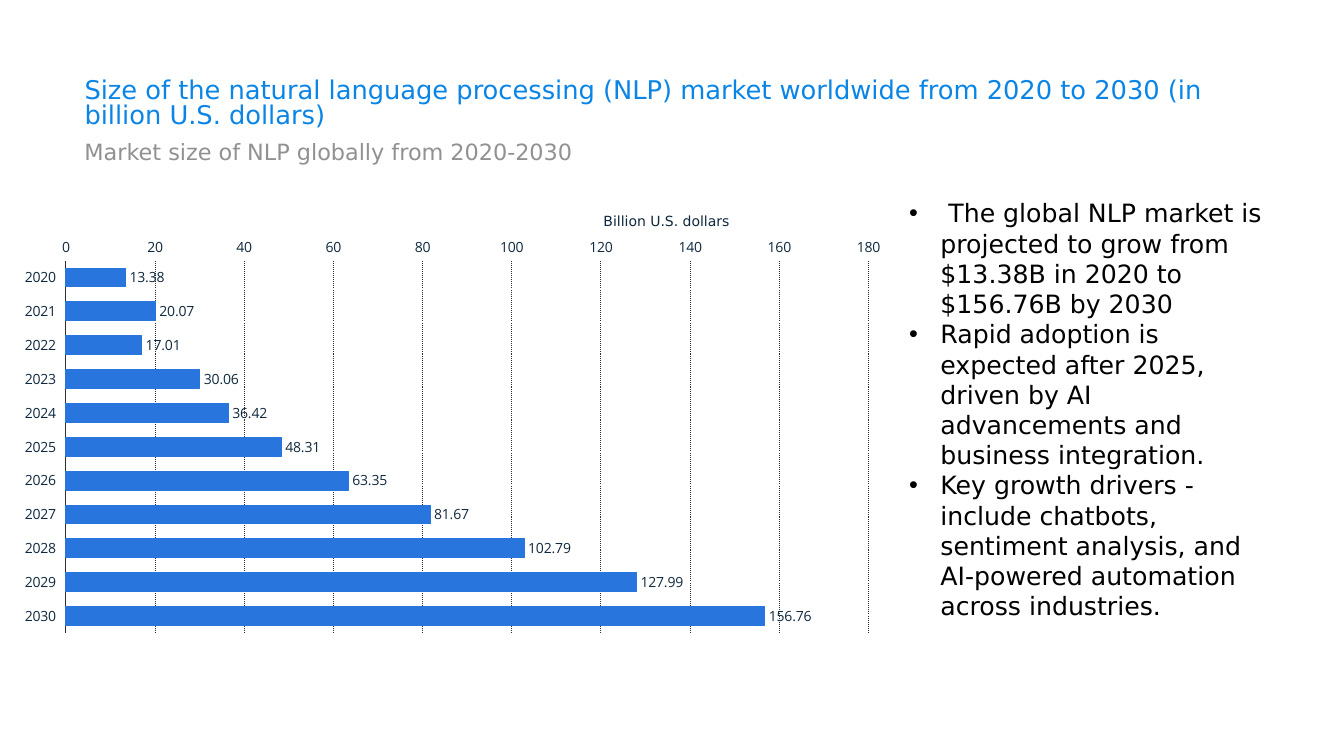
from dataclasses import dataclass

from lxml import etree
from pptx import Presentation
from pptx.chart.data import CategoryChartData
from pptx.dml.color import RGBColor
from pptx.enum.chart import XL_CHART_TYPE, XL_LABEL_POSITION, XL_TICK_LABEL_POSITION, XL_TICK_MARK
from pptx.enum.dml import MSO_LINE
from pptx.enum.text import MSO_ANCHOR, MSO_AUTO_SIZE, PP_ALIGN
from pptx.oxml.ns import qn
from pptx.util import Cm, Pt

BAR = XL_CHART_TYPE.BAR_CLUSTERED
OUT = XL_LABEL_POSITION.OUTSIDE_END
LOW = XL_TICK_LABEL_POSITION.LOW
NO_TICK = XL_TICK_MARK.NONE
DOT = MSO_LINE.ROUND_DOT
TOP, BOTTOM = MSO_ANCHOR.TOP, MSO_ANCHOR.BOTTOM
FIXED = MSO_AUTO_SIZE.NONE
LEFT, CENTER = PP_ALIGN.LEFT, PP_ALIGN.CENTER


@dataclass(frozen=True)
class Theme:
    face: str = "DejaVu Sans"
    plot: str = "Open Sans"
    mark: str = "Arial"
    blue: str = "0A85E6"
    gray: str = "919191"
    black: str = "000000"
    navy: str = "0F283E"
    line: str = "2F2F2F"
    bar: str = "2875DD"
    head: float = 18.4
    sub: float = 16
    body: float = 18
    note: float = 10
    rule: float = 0.75


def apply(item, form):
    for name, value in form.items():
        setattr(item, name, value)


class Page:
    def __init__(self, deck, theme):
        self.theme = theme
        self.slide = deck.slides.add_slide(deck.slide_layouts[1])

    def font(self, font, face, size, color):
        apply(font, {"name": face, "size": Pt(size), "bold": False})
        font.color.rgb = RGBColor.from_string(color)

    def stroke(self, line, color):
        line.color.rgb = RGBColor.from_string(color)
        line.width = Pt(self.theme.rule)

    def fill(self, shape, box, lines, size, color, anchor=TOP, align=LEFT, lead=1.0):
        apply(shape, dict(zip(("left", "top", "width", "height"), map(Cm, box))))
        frame = shape.text_frame
        frame.text = "\n".join(lines)
        apply(frame, {"word_wrap": True, "auto_size": FIXED, "vertical_anchor": anchor,
                      "margin_left": Cm(0.25), "margin_right": Cm(0.25),
                      "margin_top": Cm(0.13), "margin_bottom": Cm(0.13)})
        for para in frame.paragraphs:
            apply(para, {"alignment": align, "line_spacing": lead,
                         "space_before": Pt(0), "space_after": Pt(0)})
            for run in para.runs:
                self.font(run.font, self.theme.face, size, color)
        return frame

    def title(self, text, box):
        self.fill(self.slide.shapes.title, box, [text], self.theme.head,
                  self.theme.blue, anchor=BOTTOM, lead=0.8)

    def text(self, text, box, size, color, **form):
        shape = self.slide.shapes.add_textbox(*map(Cm, box))
        self.fill(shape, box, [text], size, color, **form)

    def list(self, lines, box):
        frame = self.fill(self.slide.placeholders[1], box, lines,
                          self.theme.body, self.theme.black)
        for para in frame.paragraphs:
            props = para._p.get_or_add_pPr()
            props.set("marL", str(Cm(0.79)))
            props.set("indent", str(Cm(-0.79)))
            etree.SubElement(props, qn("a:buFont")).set("typeface", self.theme.mark)
            etree.SubElement(props, qn("a:buChar")).set("char", "•")

    def axis(self, axis, form):
        apply(axis, {"major_tick_mark": NO_TICK, "minor_tick_mark": NO_TICK, **form})
        self.font(axis.tick_labels.font, self.theme.plot, self.theme.note, self.theme.navy)

    def chart(self, name, values, box, inner):
        data = CategoryChartData()
        data.categories = list(values)
        data.add_series(name, list(values.values()))
        chart = self.slide.shapes.add_chart(BAR, *map(Cm, box), data).chart
        apply(chart, {"has_title": False, "has_legend": False})
        self.font(chart.font, self.theme.mark, self.theme.body, self.theme.black)

        years, scale = chart.category_axis, chart.value_axis
        self.axis(years, {"reverse_order": True, "tick_label_position": LOW,
                          "has_major_gridlines": False})
        self.stroke(years.format.line, self.theme.line)
        self.axis(scale, {"minimum_scale": 0, "maximum_scale": 180, "major_unit": 20,
                          "has_major_gridlines": True})
        apply(scale.tick_labels, {"number_format": "#,##0", "number_format_is_linked": False})
        scale.format.line.fill.background()
        grid = scale.major_gridlines.format.line
        self.stroke(grid, self.theme.line)
        grid.dash_style = DOT

        plot = chart.plots[0]
        apply(plot, {"gap_width": 80, "overlap": -30, "vary_by_categories": False,
                     "has_data_labels": True})
        apply(plot.data_labels, {"show_value": True, "position": OUT})
        self.font(plot.data_labels.font, self.theme.plot, self.theme.note, self.theme.navy)
        look = plot.series[0].format
        look.fill.solid()
        look.fill.fore_color.rgb = RGBColor.from_string(self.theme.bar)
        self.stroke(look.line, self.theme.bar)
        self.place(chart, inner)

    def place(self, chart, inner):
        area = chart._chartSpace.chart.plotArea
        for old in area.findall(qn("c:layout")):
            area.remove(old)
        layout = etree.Element(qn("c:layout"))
        area.insert(0, layout)
        manual = etree.SubElement(layout, qn("c:manualLayout"))
        parts = {"layoutTarget": "inner", "xMode": "edge", "yMode": "edge",
                 **dict(zip("xywh", inner))}
        for tag, value in parts.items():
            etree.SubElement(manual, qn(f"c:{tag}")).set("val", str(value))


def main():
    deck = Presentation()
    apply(deck, {"slide_width": Cm(33.87), "slide_height": Cm(19.05)})
    theme = Theme()
    page = Page(deck, theme)
    page.title("Size of the natural language processing (NLP) market worldwide "
               "from 2020 to 2030 (in billion U.S. dollars)", (1.88, 1.75, 30.1, 1.63))
    page.text("Market size of NLP globally from 2020-2030", (1.88, 3.43, 30.1, 0.91),
              theme.sub, theme.gray, lead=0.9)
    sizes = [13.38, 20.07, 17.01, 30.06, 36.42, 48.31, 63.35, 81.67, 102.79, 127.99, 156.76]
    market = {str(year): size for year, size in enumerate(sizes, 2020)}
    page.chart("Series 1", market, (0.18, 5.79, 22.45, 10.39), (0.066, 0.075, 0.901, 0.903))
    page.text("Billion U.S. dollars", (14.33, 5.23, 4.93, 0.56),
              theme.note, theme.navy, align=CENTER)
    page.list([
        " The global NLP market is projected to grow from $13.38B in 2020 to $156.76B by 2030",
        "Rapid adoption is expected after 2025, driven by AI advancements and business integration.",
        "Key growth drivers - include chatbots, sentiment analysis, and AI-powered automation "
        "across industries.",
    ], (22.66, 4.85, 9.88, 11.02))
    deck.save("out.pptx")


if __name__ == "__main__":
    main()
